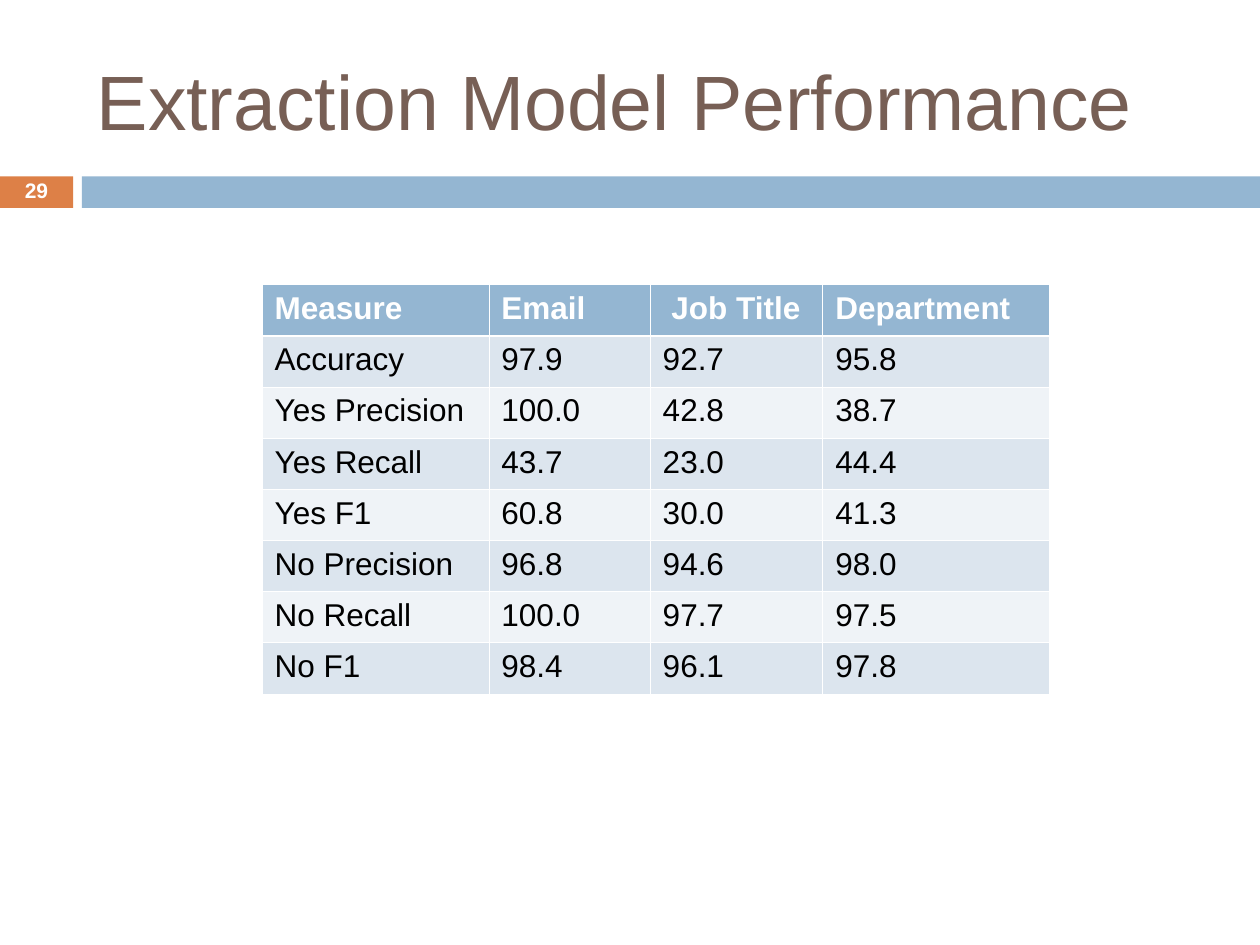
"""Build the slide that tabulates extraction model performance."""
from dataclasses import dataclass

from lxml.etree import SubElement
from pptx import Presentation
from pptx.dml.color import RGBColor as Rgb
from pptx.enum.shapes import MSO_SHAPE as Shape
from pptx.enum.text import MSO_ANCHOR as Anchor, PP_ALIGN as Align
from pptx.oxml.ns import qn
from pptx.slide import Slide
from pptx.table import _Cell as Cell
from pptx.text.text import _Paragraph as Para
from pptx.util import Inches, Pt


@dataclass(frozen=True)
class Theme:
    font: str = "Arial"
    title: str = "775F55"
    accent: str = "DD8047"
    header: str = "94B6D2"
    bands: tuple[str, str] = ("DCE5EE", "EFF3F7")
    ink: str = "000000"
    white: str = "FFFFFF"
    title_size: float = 44
    table_size: float = 18
    number_size: float = 12
    thin_line: float = 0.45
    thick_line: float = 1.47


@dataclass(frozen=True)
class Area:
    left: float
    top: float
    width: float
    height: float

    def lengths(self) -> tuple[int, int, int, int]:
        return Inches(self.left), Inches(self.top), Inches(self.width), Inches(self.height)


@dataclass(frozen=True)
class TextStyle:
    size: float
    color: str
    bold: bool = False
    align: Align = Align.LEFT
    line_spacing: float = 1.0


THEME = Theme()
TABLE_AREA = Area(2.08, 2.26, 6.25, 3.25)
COLUMN_WIDTHS = (1.8, 1.28, 1.37, 1.8)
ROWS = (
    ("Measure", "Email", " Job Title", "Department"),
    ("Accuracy", "97.9", "92.7", "95.8"),
    ("Yes Precision", "100.0", "42.8", "38.7"),
    ("Yes Recall", "43.7", "23.0", "44.4"),
    ("Yes F1", "60.8", "30.0", "41.3"),
    ("No Precision", "96.8", "94.6", "98.0"),
    ("No Recall", "100.0", "97.7", "97.5"),
    ("No F1", "98.4", "96.1", "97.8"),
)


def write(para: Para, text: str, style: TextStyle) -> None:
    para.alignment = style.align
    para.line_spacing = style.line_spacing
    span = para.add_run()
    span.text = text
    span.font.name = THEME.font
    span.font.size = Pt(style.size)
    span.font.bold = style.bold
    span.font.color.rgb = Rgb.from_string(style.color)


def add_bar(page: Slide, area: Area, color: str) -> None:
    bar = page.shapes.add_shape(Shape.RECTANGLE, *area.lengths())
    bar.shadow.inherit = False
    bar.fill.solid()
    bar.fill.fore_color.rgb = Rgb.from_string(color)
    bar.line.fill.background()


def add_text(page: Slide, area: Area, text: str, style: TextStyle) -> None:
    frame = page.shapes.add_textbox(*area.lengths()).text_frame
    frame.word_wrap = True
    frame.vertical_anchor = Anchor.MIDDLE
    write(frame.paragraphs[0], text, style)


def set_border(cell: Cell, side: str, width: float) -> None:
    line = SubElement(cell._tc.get_or_add_tcPr(), qn(f"a:{side}"), w=str(Pt(width)))
    fill = SubElement(line, qn("a:solidFill"))
    SubElement(fill, qn("a:srgbClr"), val=THEME.white)


def style_cell(cell: Cell, row: int, text: str) -> None:
    is_header = row == 0
    thick_side = {0: "lnB", 1: "lnT"}.get(row)
    for side in ("lnL", "lnR", "lnT", "lnB"):
        set_border(cell, side, THEME.thick_line if side == thick_side else THEME.thin_line)
    cell.fill.solid()
    color = THEME.header if is_header else THEME.bands[(row - 1) % 2]
    cell.fill.fore_color.rgb = Rgb.from_string(color)
    ink = THEME.white if is_header else THEME.ink
    write(cell.text_frame.paragraphs[0], text, TextStyle(THEME.table_size, ink, is_header))


def add_measures(page: Slide) -> None:
    table = page.shapes.add_table(len(ROWS), len(COLUMN_WIDTHS), *TABLE_AREA.lengths()).table
    for column, width in zip(table.columns, COLUMN_WIDTHS):
        column.width = Inches(width)
    for row, texts in enumerate(ROWS):
        table.rows[row].height = Inches(TABLE_AREA.height / len(ROWS))
        for column, text in enumerate(texts):
            style_cell(table.cell(row, column), row, text)


def main() -> None:
    deck = Presentation()
    deck.slide_width, deck.slide_height = Inches(10), Inches(7.5)
    page = deck.slides.add_slide(deck.slide_layouts[6])
    add_bar(page, Area(0, 1.4, 0.58, 0.25), THEME.accent)
    add_bar(page, Area(0.65, 1.4, 9.35, 0.25), THEME.header)
    add_text(page, Area(0.67, 0.25, 8.92, 1.08), "Extraction Model Performance",
             TextStyle(THEME.title_size, THEME.title))
    add_measures(page)
    add_text(page, Area(0, 1.39, 0.58, 0.27), "29",
             TextStyle(THEME.number_size, THEME.white, True, Align.CENTER, 0.8))
    deck.save("out.pptx")


if __name__ == "__main__":
    main()
